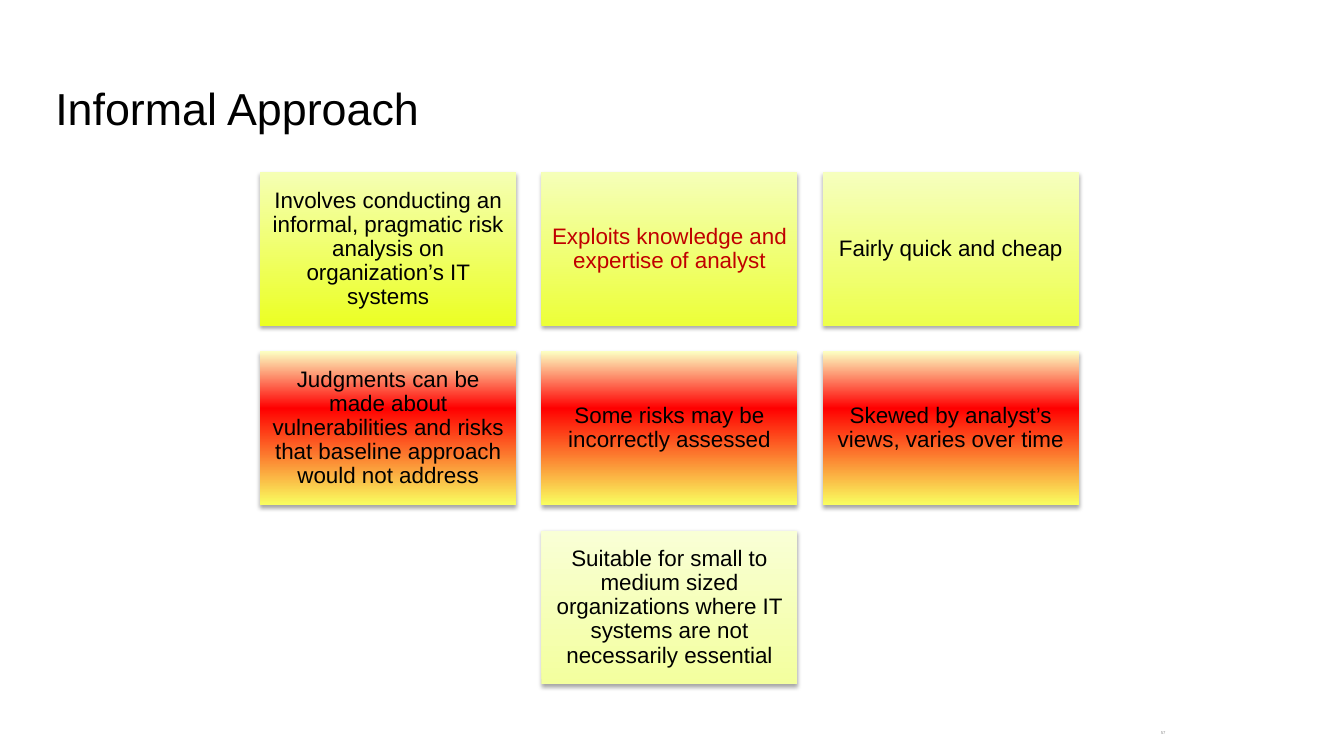
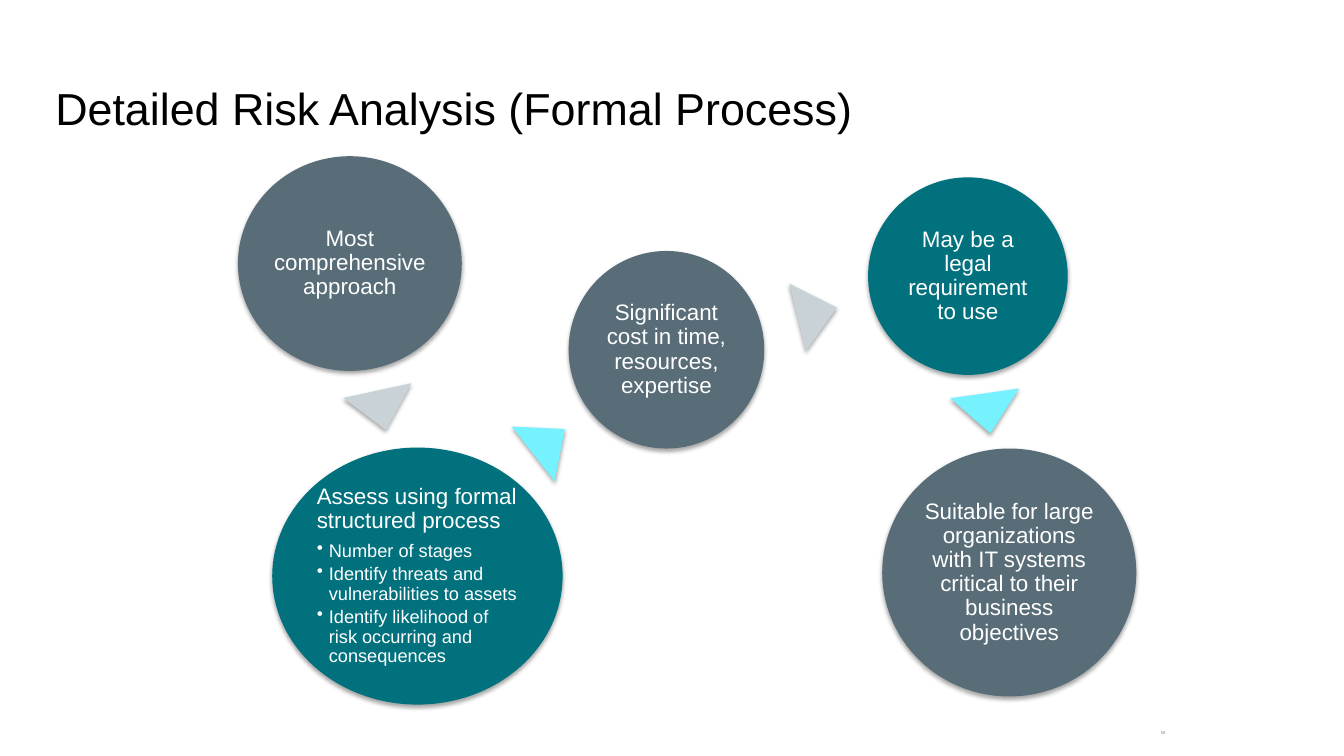
from lxml.etree import SubElement as Sub
from pptx import Presentation
from pptx.dml.color import RGBColor as Rgb
from pptx.enum.shapes import MSO_SHAPE as Geo
from pptx.enum.text import MSO_ANCHOR as Anchor, PP_ALIGN as Align
from pptx.oxml.ns import qn
from pptx.util import Inches, Pt

COLORS = {
    "ink": "000000", "paper": "FFFFFF", "pale": "8C8C8C", "alert": "C00000",
    "slate": "586D77", "teal": "00717D", "mist": "C9D3D7", "aqua": "76F2FF",
}
FONT = "Arial"
HEAT = [(0, "F9FF60"), (63, "FF0000"), (100, "FCFFC2")]

CARDS = [
    [("Involves conducting an informal, pragmatic risk analysis on organization’s IT systems",
      [(0, "EBFF23"), (100, "F5FFB4")], "ink"),
     ("Exploits knowledge and expertise of analyst",
      [(0, "ECFF38"), (100, "F5FFB9")], "alert"),
     ("Fairly quick and cheap", [(0, "EDFF4C"), (100, "F6FFBE")], "ink")],
    [("Judgments can be made about vulnerabilities and risks that baseline approach "
      "would not address", HEAT, "ink"),
     ("Some risks may be incorrectly assessed", HEAT, "ink"),
     ("Skewed by analyst’s views, varies over time", HEAT, "ink")],
    [("Suitable for small to medium sized organizations where IT systems are not "
      "necessarily essential", [(0, "F3FF9E"), (100, "F9FFD6")], "ink")],
]

DISCS = [
    ((0, 0, 2.22, 2.13), "slate", "Most comprehensive approach", []),
    ((0.34, 2.89, 2.88, 2.55), "teal", "Assess using formal structured process",
     ["Number of stages", "Identify threats and vulnerabilities to assets",
      "Identify likelihood of risk occurring and consequences"]),
    ((3.28, 0.94, 1.94, 1.96), "slate", "Significant cost in time, resources, expertise", []),
    ((6.25, 0.21, 1.98, 1.96), "teal", "May be a legal requirement to use", []),
    ((6.39, 2.9, 2.52, 2.46), "slate",
     "Suitable for large organizations with IT systems critical to their business objectives", []),
]
ARROWS = [(1.08, 2.32, 167.8, "mist"), (2.74, 2.63, 51.9, "aqua"),
          (5.4, 1.35, 76.1, "mist"), (7.09, 2.35, 171.9, "aqua")]


def text(shape, words, size=16, color="ink", align=Align.LEFT, inset=0.1,
         space=0.9, points=()):
    """Fill a shape with a lead paragraph and optional bullet points."""
    frame = shape.text_frame
    frame.word_wrap = True
    frame.vertical_anchor = Anchor.MIDDLE
    frame.margin_left = frame.margin_right = Inches(inset)
    frame.margin_top = frame.margin_bottom = Inches(inset)
    for i, line in enumerate([words, *points]):
        para = frame.add_paragraph() if i else frame.paragraphs[0]
        para.alignment = align
        para.line_spacing = space
        if i:
            para.level = 1
            para.space_before = Pt(5.6 if i == 1 else 2.5)
            props = para._p.get_or_add_pPr()
            props.set("marL", str(Inches(0.12)))
            props.set("indent", str(Inches(-0.12)))
            Sub(props, qn("a:buChar"), char="•")
        run = para.add_run()
        run.text = line
        run.font.name = FONT
        run.font.size = Pt(13 if i else size)
        run.font.color.rgb = Rgb.from_string(COLORS[color])


def label(slide, box, words, **fmt):
    """Add a text box."""
    text(slide.shapes.add_textbox(*map(Inches, box)), words, **fmt)


def shade(shape):
    """Give a shape a soft shadow below it."""
    shape.shadow.inherit = False
    effects = shape._element.spPr.find(qn("a:effectLst"))
    outer = Sub(effects, qn("a:outerShdw"), blurRad=str(Pt(3.1)), dist=str(Pt(1.8)),
                dir="5400000", rotWithShape="0")
    tint = Sub(outer, qn("a:srgbClr"), val=COLORS["ink"])
    Sub(tint, qn("a:alpha"), val="35000")


def blend(shape, stops):
    """Fill a shape with a gradient that rises from its bottom edge."""
    shape.fill.gradient()
    shape.fill.gradient_angle = 90
    ramp = shape._element.spPr.find(".//" + qn("a:gsLst"))
    for stop in list(ramp):
        ramp.remove(stop)
    for place, tint in stops:
        stop = Sub(ramp, qn("a:gs"), pos=str(place * 1000))
        Sub(stop, qn("a:srgbClr"), val=tint)


def solid(slide, kind, box, fill):
    """Add a shadowed shape with a plain fill or a list of gradient stops."""
    shape = slide.shapes.add_shape(kind, *map(Inches, box))
    if isinstance(fill, str):
        shape.fill.solid()
        shape.fill.fore_color.rgb = Rgb.from_string(COLORS[fill])
    else:
        blend(shape, fill)
    shape.line.fill.background()
    shade(shape)
    return shape


def page(deck, title, number):
    """Add a blank slide with its title and page number."""
    slide = deck.slides.add_slide(deck.slide_layouts[6])
    label(slide, (0.45, 0.65, 12.42, 0.84), title, size=32, space=1)
    label(slide, (10.93, 7.2, 0.68, 0.15), number, size=3, color="pale",
          align=Align.RIGHT, space=0.8, inset=0.05)
    return slide


def grid(slide, box, rows, gap=0.25):
    """Lay out rows of cards in a box, centring any short row."""
    left, top, width, height = box
    cols = max(map(len, rows))
    wide = (width - gap * (cols - 1)) / cols
    high = (height - gap * (len(rows) - 1)) / len(rows)
    for r, row in enumerate(rows):
        for c, (words, stops, color) in enumerate(row):
            x = left + (c + (cols - len(row)) / 2) * (wide + gap)
            y = top + r * (high + gap)
            card = solid(slide, Geo.RECTANGLE, (x, y, wide, high), stops)
            text(card, words, color=color, align=Align.CENTER, inset=0.07)


def chain(slide, left, top):
    """Place the discs and the arrowheads that lead between them."""
    for (x, y, wide, high), fill, words, points in DISCS:
        disc = solid(slide, Geo.OVAL, (left + x, top + y, wide, high), fill)
        text(disc, words, color="paper", inset=0.02, points=points,
             align=Align.LEFT if points else Align.CENTER)
    for x, y, turn, fill in ARROWS:
        head = solid(slide, Geo.ISOSCELES_TRIANGLE, (left + x, top + y, 0.69, 0.4), fill)
        head.rotation = turn


def main():
    """Build and save the deck."""
    deck = Presentation()
    deck.slide_width, deck.slide_height = Inches(13.33), Inches(7.5)
    grid(page(deck, "Informal Approach", "57"), (2.58, 1.71, 8.12, 5.08), CARDS)
    chain(page(deck, "Detailed Risk Analysis (Formal Process)", "58"), 2.36, 1.55)
    deck.save("out.pptx")


if __name__ == "__main__":
    main()
